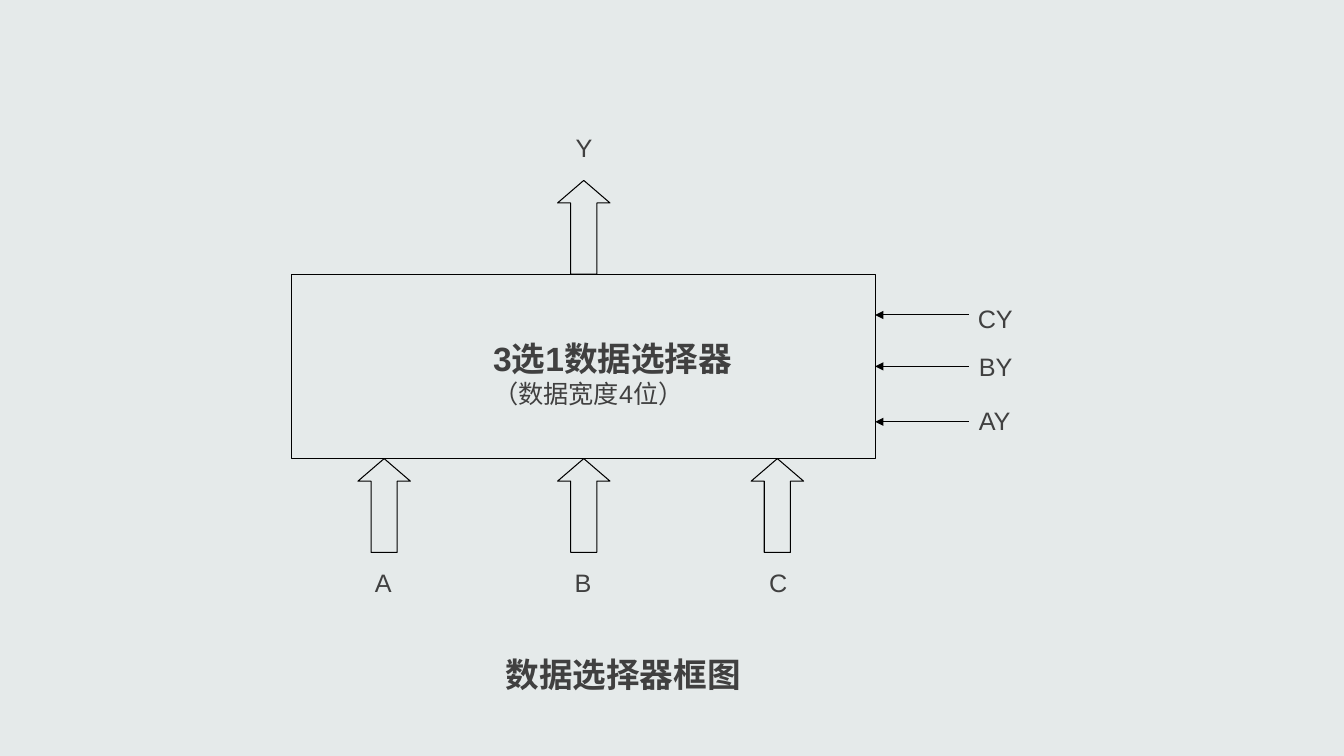
from lxml.etree import SubElement
from pptx import Presentation
from pptx.dml.color import RGBColor
from pptx.enum.shapes import MSO_CONNECTOR, MSO_SHAPE
from pptx.enum.text import MSO_ANCHOR, MSO_AUTO_SIZE, PP_ALIGN
from pptx.oxml.ns import qn
from pptx.util import Emu, Pt

EMU_PER_PX = 9144
BACKGROUND, INK, TEXT = "E5EAEA", "000000", "404040"
BLOCK = (289, 272, 579, 183)
CAPTION = (273, 644, 690, 51)
ARROW_WIDTH, ARROW_HEIGHT = 52, 93
OUTPUT = ("Y", 264, 272)
INPUTS = [("A", 66, 73), ("B", 264, 271), ("C", 456, 464)]
SELECTS = [("CY", -51, 960, 296), ("BY", 0, 961, 344), ("AY", 55, 961, 397)]
SELECT_LENGTH = 93


def px(*lengths):
    return [Emu(round(length * EMU_PER_PX)) for length in lengths]


def color(value):
    return RGBColor.from_string(value)


def style_line(line):
    line.color.rgb = color(INK)
    line.width = Pt(0.75)


def write(paragraph, text, size, bold=False):
    paragraph.text = text
    paragraph.font.name = "Arial"
    paragraph.font.size = Pt(size)
    paragraph.font.bold = bold
    paragraph.font.color.rgb = color(TEXT)


def add_label(slide, text, left, top):
    frame = slide.shapes.add_textbox(*px(left, top, 100, 53)).text_frame
    frame.word_wrap = True
    write(frame.paragraphs[0], text, 18)


def add_outline(slide, kind, box):
    shape = slide.shapes.add_shape(kind, *px(*box))
    shape.shadow.inherit = False
    shape.fill.background()
    style_line(shape.line)
    return shape


def add_block(slide, box):
    block = add_outline(slide, MSO_SHAPE.RECTANGLE, box)
    frame = block.text_frame
    frame.word_wrap = True
    frame.vertical_anchor = MSO_ANCHOR.TOP
    frame.margin_left, frame.margin_top = px(200, 63)
    write(frame.paragraphs[0], "3选1数据选择器", 24, True)
    write(frame.add_paragraph(), "（数据宽度4位）", 18)
    for paragraph in frame.paragraphs:
        paragraph.alignment = PP_ALIGN.LEFT
    return block


def add_bus(slide, left, top):
    arrow = add_outline(slide, MSO_SHAPE.UP_ARROW, (left, top, ARROW_WIDTH, ARROW_HEIGHT))
    arrow.adjustments[0] = 0.5
    arrow.adjustments[1] = 0.43


def add_buses(slide, box):
    """Draw the output above the block and the inputs below it."""
    left, top, _, height = box
    name, arrow_left, label_left = OUTPUT
    add_bus(slide, left + arrow_left, top - ARROW_HEIGHT)
    add_label(slide, name, left + label_left, top - 146)
    for name, arrow_left, label_left in INPUTS:
        add_bus(slide, left + arrow_left, top + height)
        add_label(slide, name, left + label_left, top + height + 103)


def add_selects(slide, block, box):
    """Draw the select lines that enter the block's right side."""
    left, top, width, height = box
    right, middle = left + width, top + height / 2
    for name, offset, label_left, label_top in SELECTS:
        y = middle + offset
        line = slide.shapes.add_connector(
            MSO_CONNECTOR.STRAIGHT, *px(right + SELECT_LENGTH, y, right, y))
        if offset == 0:
            line.end_connect(block, 3)
        style_line(line.line)
        properties = line.line._get_or_add_ln()
        SubElement(properties, qn("a:tailEnd"), type="triangle")
        SubElement(properties.getparent(), qn("a:effectLst"))
        add_label(slide, name, label_left, label_top)


def add_caption(slide, box):
    title = slide.shapes.title
    title.left, title.top, title.width, title.height = px(*box)
    frame = title.text_frame
    frame.auto_size = MSO_AUTO_SIZE.NONE
    frame.vertical_anchor = MSO_ANCHOR.TOP
    write(frame.paragraphs[0], "数据选择器框图", 24, True)
    frame.paragraphs[0].alignment = PP_ALIGN.CENTER


def main():
    presentation = Presentation()
    presentation.slide_width, presentation.slide_height = px(1333, 750)
    slide = presentation.slides.add_slide(presentation.slide_layouts[5])
    slide.background.fill.solid()
    slide.background.fill.fore_color.rgb = color(BACKGROUND)
    add_caption(slide, CAPTION)
    block = add_block(slide, BLOCK)
    add_buses(slide, BLOCK)
    add_selects(slide, block, BLOCK)
    presentation.save("out.pptx")


if __name__ == "__main__":
    main()
